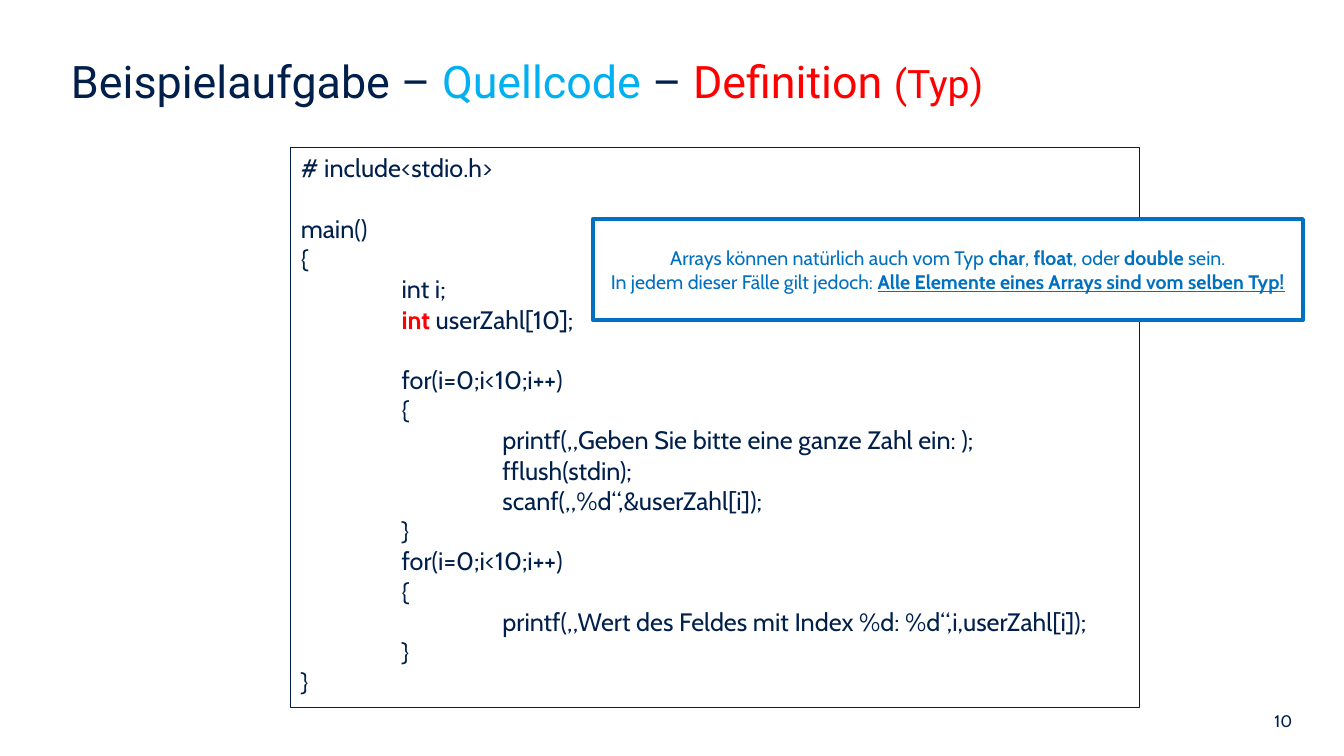
"""Build a slide that explains the type in an array definition in C."""
from lxml.etree import SubElement
from pptx import Presentation
from pptx.dml.color import RGBColor
from pptx.enum.shapes import MSO_SHAPE as Shape
from pptx.enum.text import MSO_ANCHOR as Anchor, MSO_AUTO_SIZE as AutoSize, PP_ALIGN as Align
from pptx.oxml.ns import qn
from pptx.util import Pt

NAVY = RGBColor(0x00, 0x20, 0x4B)
SKY = RGBColor(0x00, 0xB0, 0xF0)
BLUE = RGBColor(0x00, 0x70, 0xC0)
RED = RGBColor(0xFF, 0x00, 0x00)
WHITE = RGBColor(0xFF, 0xFF, 0xFF)
BODY_FONT = "Cabin"
TITLE_FONT = "Roboto"
CODE_LINE_HEIGHT = 21.6
CODE_TABS = (72, 144)

TITLE_RUNS = [
    ("Beispielaufgabe – ", {}),
    ("Quellcode ", {"color": SKY}),
    ("– ", {}),
    ("Definition ", {"color": RED}),
    ("(Typ)", {"color": RED, "size": 28}),
]
CODE_BLOCKS = [
    [["# include<stdio.h>"]],
    [
        ["main()"],
        ["{"],
        ["\tint i;"],
        ["\t", ("int", {"color": RED, "bold": True}), " userZahl[10];"],
    ],
    [
        ["\tfor(i=0;i<10;i++)"],
        ["\t{"],
        ["\t\tprintf(„Geben Sie bitte eine ganze Zahl ein: );"],
        ["\t\tfflush(stdin);"],
        ["\t\tscanf(„%d“,&userZahl[i]);"],
        ["\t}"],
        ["\tfor(i=0;i<10;i++)"],
        ["\t{"],
        ["\t\tprintf(„Wert des Feldes mit Index %d: %d“,i,userZahl[i]);"],
        ["\t}"],
        ["}"],
    ],
]
STRONG = {"bold": True}
NOTE_LINES = [
    ["Arrays können natürlich auch vom Typ ", ("char", STRONG), ", ", ("float", STRONG),
     ", oder ", ("double", STRONG), " sein."],
    ["In jedem dieser Fälle gilt jedoch: ",
     ("Alle Elemente eines Arrays sind vom selben Typ!", {"bold": True, "underline": True})],
]


def add_run(paragraph, text, *, size, color=NAVY, font=BODY_FONT, bold=False, underline=False):
    """Append one formatted run to a paragraph."""
    run = paragraph.add_run()
    run.text = text
    run.font.name = font
    run.font.size = Pt(size)
    run.font.color.rgb = color
    run.font.bold = bold
    run.font.underline = underline


def add_tabs(paragraph, stops):
    """Give a paragraph left tab stops at the given points."""
    properties = paragraph._p.get_or_add_pPr()
    tab_list = SubElement(properties, qn("a:tabLst"))
    for stop in stops:
        SubElement(tab_list, qn("a:tab"), pos=str(Pt(stop)), algn="l")


def write_line(frame, pieces, *, first, align=Align.LEFT, before=0, tabs=(), **style):
    """Write one paragraph from plain strings and (text, format) pairs."""
    paragraph = frame.paragraphs[0] if first else frame.add_paragraph()
    if tabs:
        add_tabs(paragraph, tabs)
    paragraph.alignment = align
    paragraph.space_before = Pt(before)
    for piece in pieces:
        text, changes = (piece, {}) if isinstance(piece, str) else piece
        add_run(paragraph, text, **{**style, **changes})


def set_frame(shape, anchor):
    """Wrap the text of a shape, fix its size and anchor it."""
    frame = shape.text_frame
    frame.word_wrap = True
    frame.auto_size = AutoSize.NONE
    frame.vertical_anchor = anchor
    return frame


def add_panel(slide, left, top, width, height, *, line, line_width, fill=None, anchor=Anchor.TOP):
    """Add an outlined rectangle and return its text frame."""
    shape = slide.shapes.add_shape(Shape.RECTANGLE, Pt(left), Pt(top), Pt(width), Pt(height))
    shape.shadow.inherit = False
    if fill is None:
        shape.fill.background()
    else:
        shape.fill.solid()
        shape.fill.fore_color.rgb = fill
    shape.line.color.rgb = line
    shape.line.width = Pt(line_width)
    return set_frame(shape, anchor)


def set_title(slide):
    """Place and write the slide title."""
    title = slide.shapes.title
    title.left, title.top, title.width, title.height = Pt(43.5), Pt(34.6), Pt(877), Pt(56.9)
    frame = set_frame(title, Anchor.TOP)
    write_line(frame, TITLE_RUNS, first=True, size=32, font=TITLE_FONT)


def add_code(slide):
    """Add the source code panel, with one line of space between blocks."""
    frame = add_panel(slide, 207.8, 105.5, 606.4, 399.8, line=NAVY, line_width=0.75)
    for block_index, block in enumerate(CODE_BLOCKS):
        for line_index, pieces in enumerate(block):
            opens_block = block_index > 0 and line_index == 0
            write_line(frame, pieces, first=block_index == line_index == 0, size=18,
                       tabs=CODE_TABS, before=CODE_LINE_HEIGHT if opens_block else 0)


def add_note(slide):
    """Add the framed remark about element types."""
    frame = add_panel(slide, 423.4, 156.6, 507.2, 72, line=BLUE, line_width=3,
                      fill=WHITE, anchor=Anchor.MIDDLE)
    for index, pieces in enumerate(NOTE_LINES):
        write_line(frame, pieces, first=index == 0, align=Align.CENTER, size=14, color=BLUE)


def add_page_number(slide):
    """Add the page number at the lower right."""
    box = slide.shapes.add_textbox(Pt(608.4), Pt(500.4), Pt(321.8), Pt(28.8))
    frame = set_frame(box, Anchor.MIDDLE)
    write_line(frame, ["10"], first=True, align=Align.RIGHT, size=12)


def main():
    """Create the presentation and save it."""
    presentation = Presentation()
    presentation.slide_width, presentation.slide_height = Pt(960), Pt(540)
    slide = presentation.slides.add_slide(presentation.slide_layouts[5])
    set_title(slide)
    add_code(slide)
    add_note(slide)
    add_page_number(slide)
    presentation.save("out.pptx")


if __name__ == "__main__":
    main()
